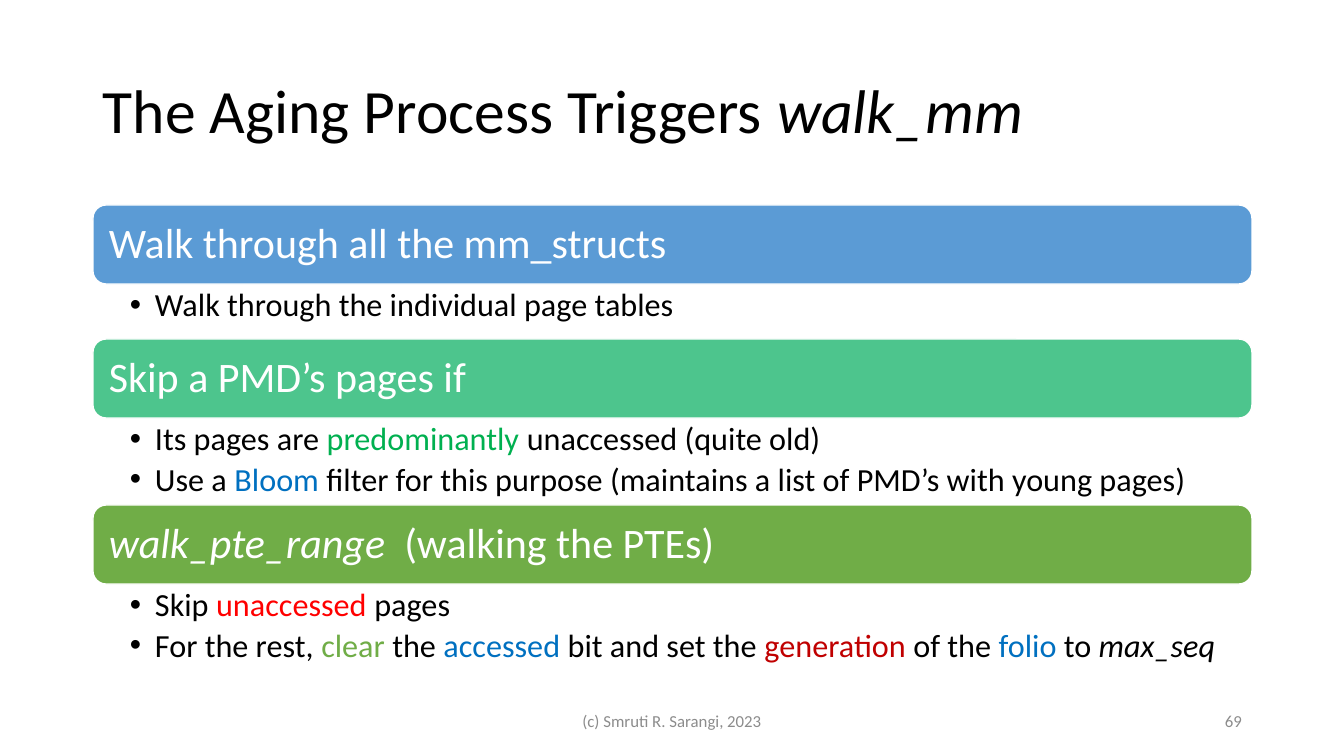
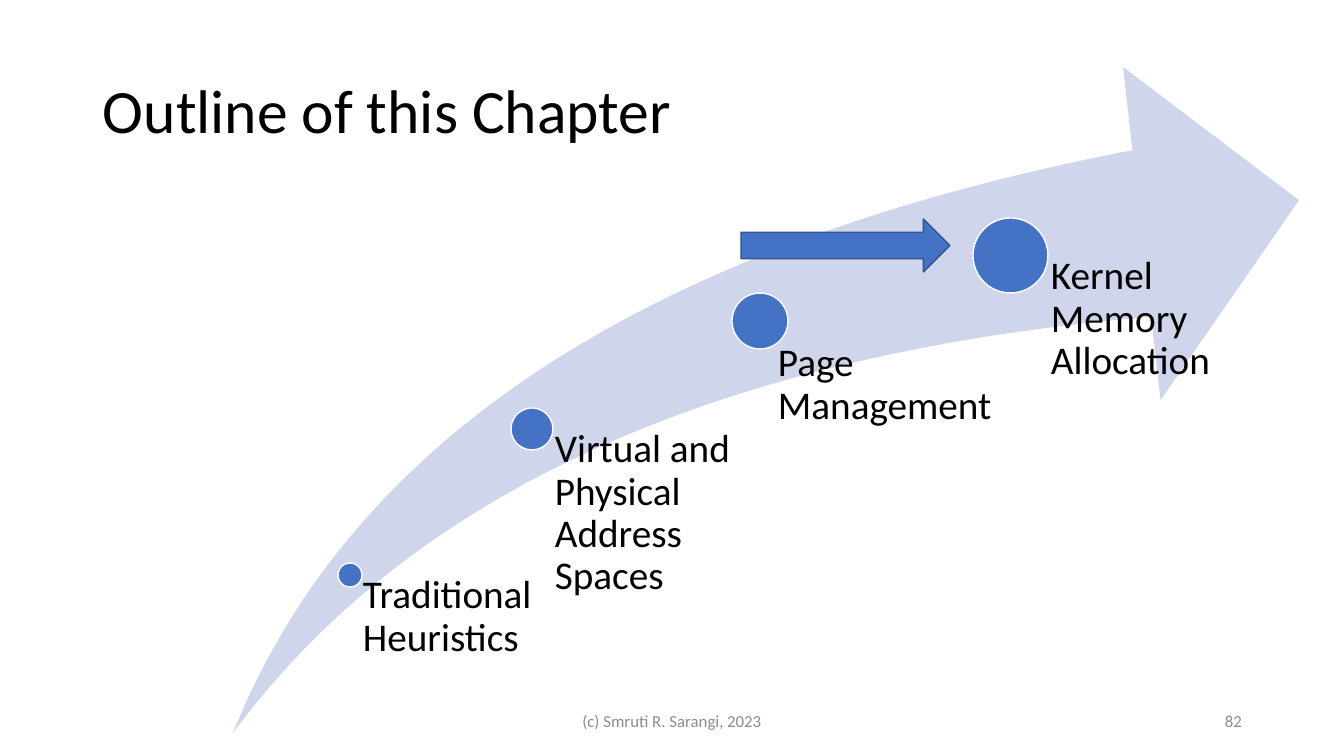
"""Build two lecture slides on page aging and the chapter outline."""
from lxml import etree
from pptx import Presentation
from pptx import util as u
from pptx.dml.color import RGBColor
from pptx.enum import shapes, text
from pptx.oxml.ns import qn

PX = 9071
FONT = "Calibri"
BLACK, WHITE, GREY, BLUE = "000000", "FFFFFF", "8C8C8C", "4472C4"
SKY, GREEN, LEAF = "0070C0", "00B050", "70AD47"
RED, WINE = "FF0000", "C00000"
ITALIC = "italic"
KIND = shapes.MSO_SHAPE
TOP, MID = text.MSO_ANCHOR.TOP, text.MSO_ANCHOR.MIDDLE
LEFT, CENTRE, RIGHT = text.PP_ALIGN.LEFT, text.PP_ALIGN.CENTER, text.PP_ALIGN.RIGHT
rgb = RGBColor.from_string


def write(frame, lines, size, hue, anchor=TOP, align=LEFT, pad=(0, 0, 0, 0), dots=False):
    """Fill a frame with lines, each a list of strings or (string, style) pairs."""
    frame.word_wrap = True
    frame.auto_size = text.MSO_AUTO_SIZE.NONE
    frame.vertical_anchor = anchor
    (frame.margin_left, frame.margin_top,
     frame.margin_right, frame.margin_bottom) = [n * PX for n in pad]
    for i, line in enumerate(lines):
        para = frame.paragraphs[0] if i == 0 else frame.add_paragraph()
        para.alignment = align
        para.line_spacing = 0.9
        para.space_before = u.Pt(0)
        para.space_after = u.Pt(4 if dots else 0)
        if dots:
            props = para._p.get_or_add_pPr()
            props.set("marL", str(25 * PX))
            props.set("indent", str(-25 * PX))
            etree.SubElement(props, qn("a:buFont"), typeface="Arial")
            etree.SubElement(props, qn("a:buChar"), char="•")
        font = para.font
        font.name, font.size, font.bold = FONT, u.Pt(size), False
        font.color.rgb = rgb(hue)
        for part in line:
            words, style = (part, None) if isinstance(part, str) else part
            run = para.add_run()
            run.text = words
            if style == ITALIC:
                run.font.italic = True
            elif style:
                run.font.color.rgb = rgb(style)


def draw(slide, kind, area, fill, edge=None):
    """Add a flat preset shape."""
    shape = slide.shapes.add_shape(kind, *[n * PX for n in area])
    shape.shadow.inherit = False
    shape.fill.solid()
    shape.fill.fore_color.rgb = rgb(fill)
    if edge:
        shape.line.color.rgb = rgb(edge)
        shape.line.width = u.Pt(1)
    else:
        shape.line.fill.background()
    return shape


deck = Presentation()
deck.slide_width, deck.slide_height = 1344 * PX, 756 * PX

heads = [
    (4, ["The Aging Process Triggers ", ("walk_mm", ITALIC)], "69"),
    (5, ["Outline of this Chapter"], "82"),
]
for layout, head, page in heads:
    slide = deck.slides.add_slide(deck.slide_layouts[layout])
    title = slide.shapes.title
    title.left, title.top, title.width, title.height = [n * PX for n in (93, 41, 1159, 146)]
    write(title.text_frame, [head], 44, BLACK, MID, pad=(10, 5, 10, 5))
    for left, width, words, align in [
        (445, 454, "(c) Smruti R. Sarangi, 2023", CENTRE),
        (950, 302, page, RIGHT),
    ]:
        foot = slide.shapes.add_textbox(*[n * PX for n in (left, 702, width, 40)])
        write(foot.text_frame, [[words]], 12, GREY, MID, align, (10, 5, 10, 5))
aging, outline = deck.slides

steps = [
    ("5B9BD5", ["Walk through all the mm_structs"], 55, [
        ["Walk through the individual page tables"],
    ]),
    ("4DC58D", ["Skip a PMD’s pages if"], 87, [
        ["Its pages are ", ("predominantly ", GREEN), "unaccessed (quite old)"],
        ["Use a ", ("Bloom", SKY),
         " filter for this purpose (maintains a list of PMD’s with young pages)"],
    ]),
    (LEAF, [("walk_pte_range  ", ITALIC), "(walking the PTEs)"], 87, [
        ["Skip ", ("unaccessed", RED), " pages"],
        ["For the rest, ", ("clear", LEAF), " the ", ("accessed", SKY),
         " bit and set the ", ("generation", WINE), " of the ", ("folio", SKY),
         " to ", ("max_seq", ITALIC)],
    ]),
]
bodies = list(aging.placeholders)[1:]
top = 205
for body, (hue, head, height, lines) in zip(bodies, steps):
    band = draw(aging, KIND.ROUNDED_RECTANGLE, (93, top, 1159, 79), hue, WHITE)
    write(band.text_frame, [head], 30, WHITE, MID, pad=(12, 12, 12, 12))
    top += 79
    body.left, body.top, body.width, body.height = [n * PX for n in (93, top, 1159, height)]
    write(body.text_frame, lines, 23, BLACK, pad=(37, 5, 23, 4), dots=True)
    top += height
spare = bodies[-1].element
spare.getparent().remove(spare)

swoosh = draw(outline, KIND.SWOOSH_ARROW, (233, 67, 1066, 666), "CFD5EA")
swoosh.adjustments[0] = swoosh.adjustments[1] = 0.25
topics = [
    ((338, 563, 24), (363, 575, 180), "Traditional Heuristics"),
    ((511, 408, 42), (555, 429, 202), "Virtual and Physical Address Spaces"),
    ((732, 293, 56), (778, 343, 230), "Page Management"),
    ((973, 218, 75), (1051, 256, 183), "Kernel Memory Allocation"),
]
for (left, top, size), area, words in topics:
    draw(outline, KIND.OVAL, (left, top, size, size), BLUE, WHITE)
    label = outline.shapes.add_textbox(*[n * PX for n in (*area, 180)])
    write(label.text_frame, [[words]], 28, BLACK)
draw(outline, KIND.RIGHT_ARROW, (741, 219, 209, 53), BLUE, "325491")

deck.save("out.pptx")
